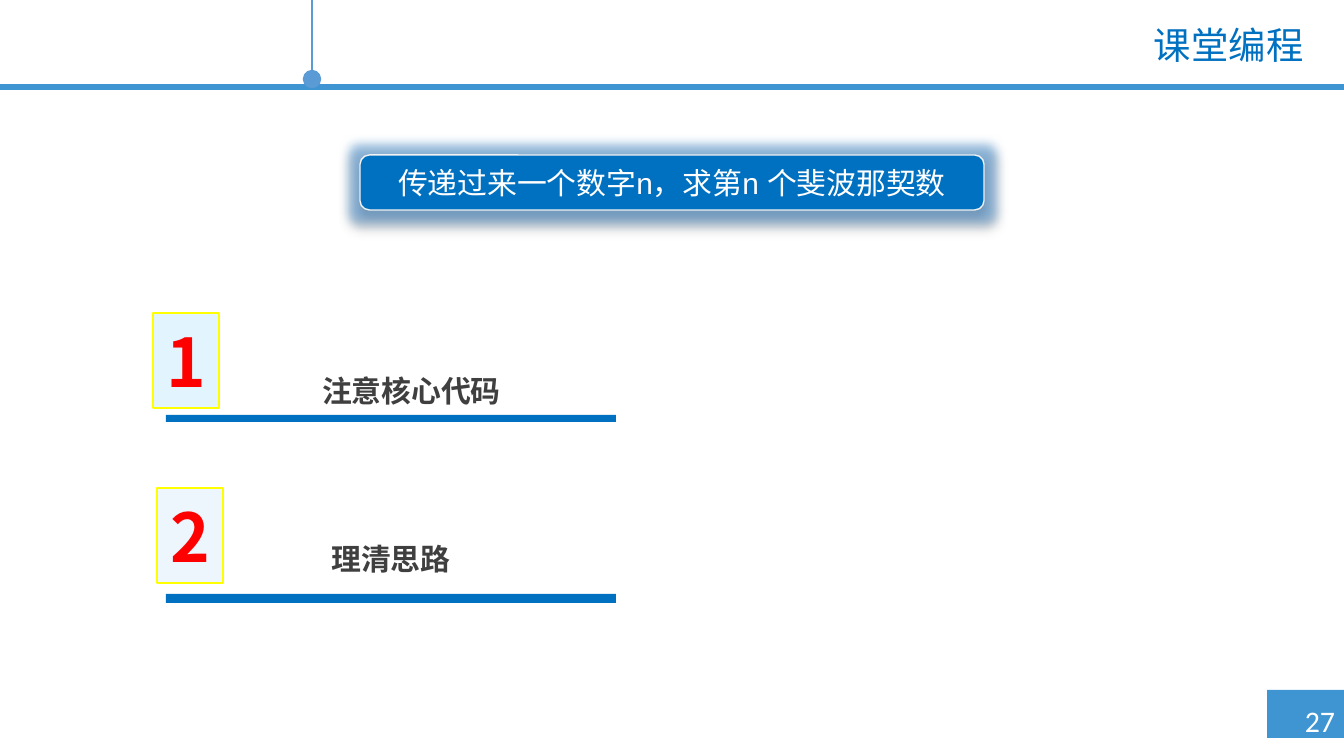
import pptx
import pptx.dml.color
import pptx.enum.shapes
import pptx.enum.text
import pptx.oxml
import pptx.oxml.ns
import pptx.util

PX = 914400 / 134.4
BLUE, SKY, WHITE = "0070C0", "3F95D2", "FFFFFF"
SHAPE = pptx.enum.shapes.MSO_SHAPE
ALIGN = pptx.enum.text.PP_ALIGN
HEADING_FONT = "Noto Sans CJK SC"


def add_block(parent, bounds, fill=None, line=None, kind=SHAPE.RECTANGLE):
    """Add a shadowless shape with bounds (left, top, width, height) in px."""
    block = parent.add_shape(kind, *[round(v * PX) for v in bounds])
    block.shadow.inherit = False
    block.fill.solid()
    block.fill.fore_color.rgb = pptx.dml.color.RGBColor.from_string(fill)
    if line:
        block.line.color.rgb = pptx.dml.color.RGBColor.from_string(line)
        block.line.width = pptx.util.Pt(0.75)
    else:
        block.line.fill.background()
    return block


def write(box, text, size=16, font=HEADING_FONT, color=WHITE, bold=False,
          align=ALIGN.CENTER, wrap=True, spacing=1.0):
    frame = box.text_frame
    frame.word_wrap = wrap
    frame.auto_size = pptx.enum.text.MSO_AUTO_SIZE.NONE
    frame.vertical_anchor = pptx.enum.text.MSO_ANCHOR.MIDDLE
    frame.margin_top = frame.margin_bottom = 0
    para = frame.paragraphs[0]
    para.alignment = align
    para.line_spacing = spacing
    span = para.add_run()
    span.text = text
    span.font.size = pptx.util.Pt(size)
    span.font.name = font
    span.font.bold = bold
    span.font.color.rgb = pptx.dml.color.RGBColor.from_string(color)
    east_asian = pptx.oxml.parse_xml(
        f'<a:ea {pptx.oxml.ns.nsdecls("a")} typeface="{HEADING_FONT}"/>')
    span.font._element.find(pptx.oxml.ns.qn("a:latin")).addnext(east_asian)


deck = pptx.Presentation()
deck.slide_width = round(1344 * PX)
deck.slide_height = round(756 * PX)
page = deck.slides.add_slide(deck.slide_layouts[5])
shapes = page.shapes

# Page frame: number tab, header rule and pendulum line
add_block(shapes, (1267, 690, 77, 48), fill=SKY)
add_block(shapes, (0, 84, 1344, 6), fill=SKY)
number = shapes.add_textbox(*[round(v * PX) for v in (1296, 696, 48, 50)])
write(number, "27", font="Calibri", wrap=False)

pendulum = shapes.add_connector(
    pptx.enum.shapes.MSO_CONNECTOR.STRAIGHT,
    *[round(v * PX) for v in (312, 0, 312, 79)])
pendulum.line.color.rgb = pptx.dml.color.RGBColor.from_string("5B9BD5")
pendulum.line.width = pptx.util.Pt(0.75)
namespace = pptx.oxml.ns.nsdecls("a")
pendulum.line._get_or_add_ln().append(pptx.oxml.parse_xml(
    f'<a:tailEnd {namespace} type="oval" w="lg" len="lg"/>'))
pendulum._element.spPr.append(pptx.oxml.parse_xml(f"<a:effectLst {namespace}/>"))

title = shapes.title
title.left, title.top, title.width, title.height = [
    round(v * PX) for v in (323, 20, 994, 54)]
write(title, "课堂编程", size=20, font="Lato", color=BLUE,
      align=ALIGN.RIGHT, spacing=0.9)

# Numbered points: each has a badge, a rule and a heading
points = [
    ("1", "注意核心代码", "E2F5FE", (153, 313, 66, 95), (166, 415, 450, 7), (199, 366, 425, 50)),
    ("2", "理清思路", "EDF5FD", (157, 488, 66, 95), (166, 594, 450, 9), (184, 534, 414, 50)),
]
for digit, heading, tint, badge_at, rule_at, heading_at in points:
    group = shapes.add_group_shape().shapes
    badge = add_block(group, badge_at, fill=tint, line="FFFF00")
    write(badge, digit, size=36, font="Noto Sans CJK KR", color="FF0000",
          bold=True, wrap=False)
    add_block(group, rule_at, fill=BLUE)
    label = group.add_textbox(*[round(v * PX) for v in heading_at])
    write(label, heading, color="3F3F3F", bold=True)

# Task banner with a blue glow and a soft shadow
banner = add_block(shapes, (360, 155, 624, 55), fill=BLUE, line="F2F2F2",
                   kind=SHAPE.ROUNDED_RECTANGLE)
banner.adjustments[0] = 0.17
write(banner, "传递过来一个数字n，求第n 个斐波那契数", font="Arial")
effects = banner._element.spPr.find(pptx.oxml.ns.qn("a:effectLst"))
effects.append(pptx.oxml.parse_xml(
    f'<a:glow {namespace} rad="139700"><a:srgbClr val="5B9BD5">'
    '<a:alpha val="60000"/></a:srgbClr></a:glow>'))
effects.append(pptx.oxml.parse_xml(
    f'<a:outerShdw {namespace} blurRad="50800" dist="38100" dir="5400000">'
    '<a:srgbClr val="000000"><a:alpha val="40000"/></a:srgbClr></a:outerShdw>'))

deck.save("out.pptx")
